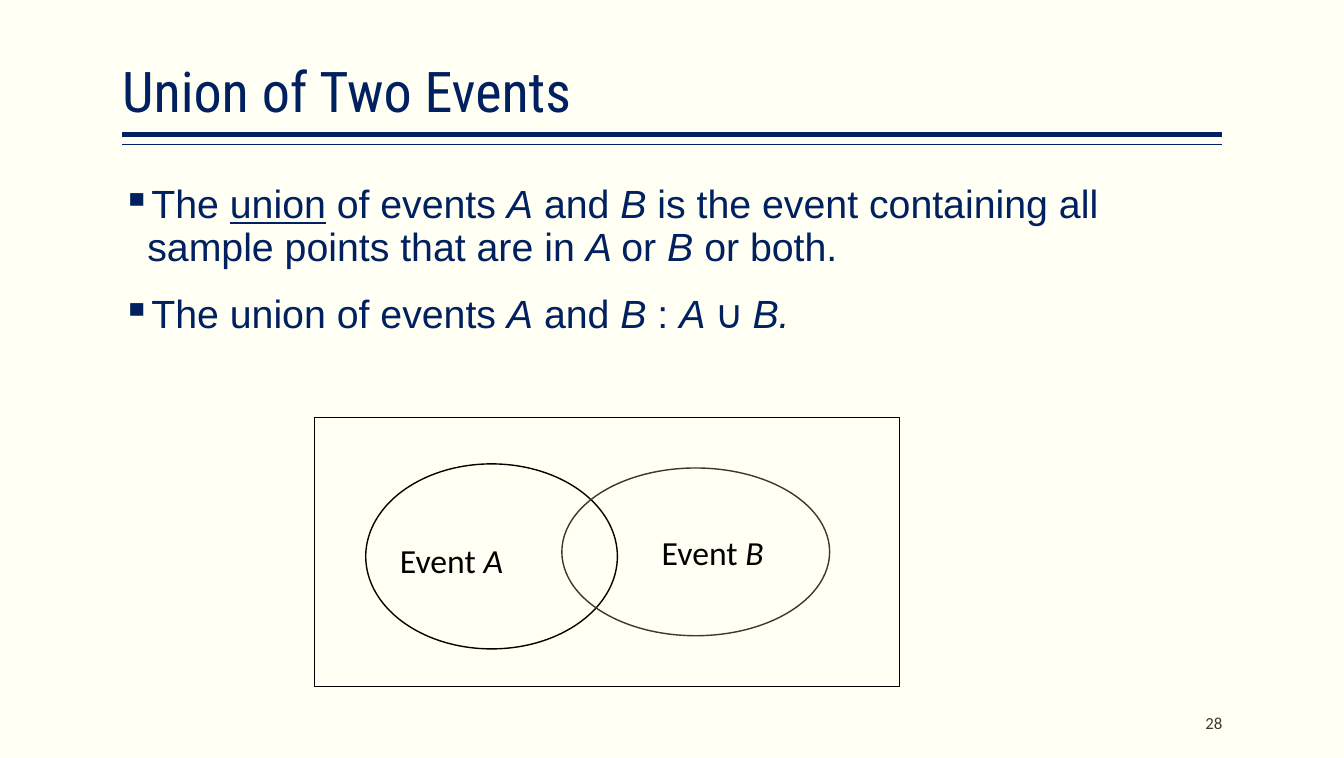
import pptx
import pptx.dml.color
import pptx.enum.shapes
import pptx.enum.text
import pptx.oxml.ns
import pptx.util
from lxml import etree

Pt = pptx.util.Pt
RGBColor = pptx.dml.color.RGBColor
Shape = pptx.enum.shapes.MSO_SHAPE
Align = pptx.enum.text.PP_ALIGN
Anchor = pptx.enum.text.MSO_ANCHOR

NAVY = RGBColor(0x00, 0x20, 0x60)
IVORY = RGBColor(0xFF, 0xFF, 0xF3)
BLACK = RGBColor(0x00, 0x00, 0x00)
BROWN = RGBColor(0x3D, 0x36, 0x32)
LEFT, WIDTH = 87, 784


class Page:
    """Holds the style and the current slide; all lengths are in points."""

    heading_font, body_font, label_font = "Roboto Condensed", "Arial", "Calibri"

    def __init__(self, deck):
        self.slide = deck.slides.add_slide(deck.slide_layouts[5])
        fill = self.slide.background.fill
        fill.solid()
        fill.fore_color.rgb = IVORY

    def style(self, font, name, size, color):
        font.name, font.size, font.color.rgb = name, Pt(size), color

    def frame(self, box, anchor=Anchor.TOP, side=0.0, wrap=True):
        frame = box.text_frame
        frame.word_wrap = wrap
        frame.auto_size = pptx.enum.text.MSO_AUTO_SIZE.NONE
        frame.vertical_anchor = anchor
        frame.margin_left = frame.margin_right = Pt(side)
        frame.margin_top = frame.margin_bottom = Pt(3.6)
        return frame

    def textbox(self, left, top, width, height, **options):
        box = self.slide.shapes.add_textbox(Pt(left), Pt(top), Pt(width), Pt(height))
        return self.frame(box, **options)

    def spans(self, para, pieces, name, size, color):
        """Each piece is (text, marks); marks may hold i, u or m (label font)."""
        for text, marks in pieces:
            span = para.add_run()
            span.text = text
            self.style(span.font, self.label_font if "m" in marks else name, size, color)
            span.font.italic = "i" in marks
            span.font.underline = "u" in marks

    def title(self, text, left, top, width, height):
        box = self.slide.shapes.title
        box.left, box.top, box.width, box.height = map(Pt, (left, top, width, height))
        frame = self.frame(box, anchor=Anchor.BOTTOM)
        frame.text = text
        para = frame.paragraphs[0]
        para.alignment = Align.LEFT
        para.line_spacing = 0.9
        self.style(para.runs[0].font, self.heading_font, 40, NAVY)

    def bullets(self, items, left, top, width, height):
        frame = self.textbox(left, top, width, height)
        for index, pieces in enumerate(items):
            para = frame.add_paragraph() if index else frame.paragraphs[0]
            props = para._p.get_or_add_pPr()
            props.set("marL", str(Pt(18)))
            props.set("indent", str(-Pt(18)))
            bullet = etree.SubElement(props, pptx.oxml.ns.qn("a:buChar"))
            bullet.set("char", "▪")
            para.line_spacing = 0.9
            if index:
                para.space_before = Pt(17.9)
            self.spans(para, pieces, self.body_font, 28, NAVY)

    def label(self, pieces, left, top, width, height, wrap=True):
        frame = self.textbox(left, top, width, height, side=7.2, wrap=wrap)
        self.spans(frame.paragraphs[0], pieces, self.label_font, 24, BLACK)

    def number(self, text, left, top, width, height):
        frame = self.textbox(left, top, width, height, anchor=Anchor.MIDDLE)
        frame.text = text
        para = frame.paragraphs[0]
        para.alignment = Align.RIGHT
        self.style(para.runs[0].font, self.label_font, 12, BROWN)

    def rule(self, top, weight):
        line = self.slide.shapes.add_connector(
            pptx.enum.shapes.MSO_CONNECTOR.STRAIGHT,
            Pt(LEFT), Pt(top), Pt(LEFT + WIDTH), Pt(top))
        line.line.color.rgb = NAVY
        line.line.width = Pt(weight)
        etree.SubElement(line._element.spPr, pptx.oxml.ns.qn("a:effectLst"))

    def outline(self, kind, left, top, width, height, color, weight):
        shape = self.slide.shapes.add_shape(kind, Pt(left), Pt(top), Pt(width), Pt(height))
        shape.shadow.inherit = False
        shape.fill.background()
        shape.line.color.rgb = color
        shape.line.width = Pt(weight)


def main():
    deck = pptx.Presentation()
    deck.slide_width, deck.slide_height = Pt(957.6), Pt(540)
    page = Page(deck)

    # Heading with double rule
    page.title("Union of Two Events", LEFT, 5.8, WIDTH, 86.4)
    page.rule(95.8, 3)
    page.rule(103, 1)

    # Definition
    page.bullets([
        [("The ", ""), ("union", "u"), (" of events ", ""), ("A", "i"), (" and ", ""),
         ("B", "i"), (" is the event containing all sample points that are in ", ""),
         ("A ", "i"), ("or", ""), (" B ", "i"), ("or both.", "")],
        [("The union of events ", ""), ("A", "i"), (" and ", ""), ("B", "i"),
         (" : ", ""), ("A ", "i"), ("∪ ", "m"), ("B.", "i")],
    ], LEFT, 128.2, WIDTH, 144)

    # Venn diagram
    page.outline(Shape.RECTANGLE, 223.9, 297.4, 416.9, 191.5, BLACK, 0.5)
    page.outline(Shape.OVAL, 260.6, 330.5, 179.3, 131.8, BLACK, 1)
    page.outline(Shape.OVAL, 400.3, 333.4, 190.8, 119.5, BROWN, 1)
    page.label([("Event ", ""), ("A", "i")], 277.9, 380.9, 122.4, 36)
    page.label([("Event ", ""), ("B", "i")], 464.4, 375.1, 87.8, 36, wrap=False)

    # Slide number
    page.number("28", 727, 500.4, 144, 28.8)

    deck.save("out.pptx")


if __name__ == "__main__":
    main()
